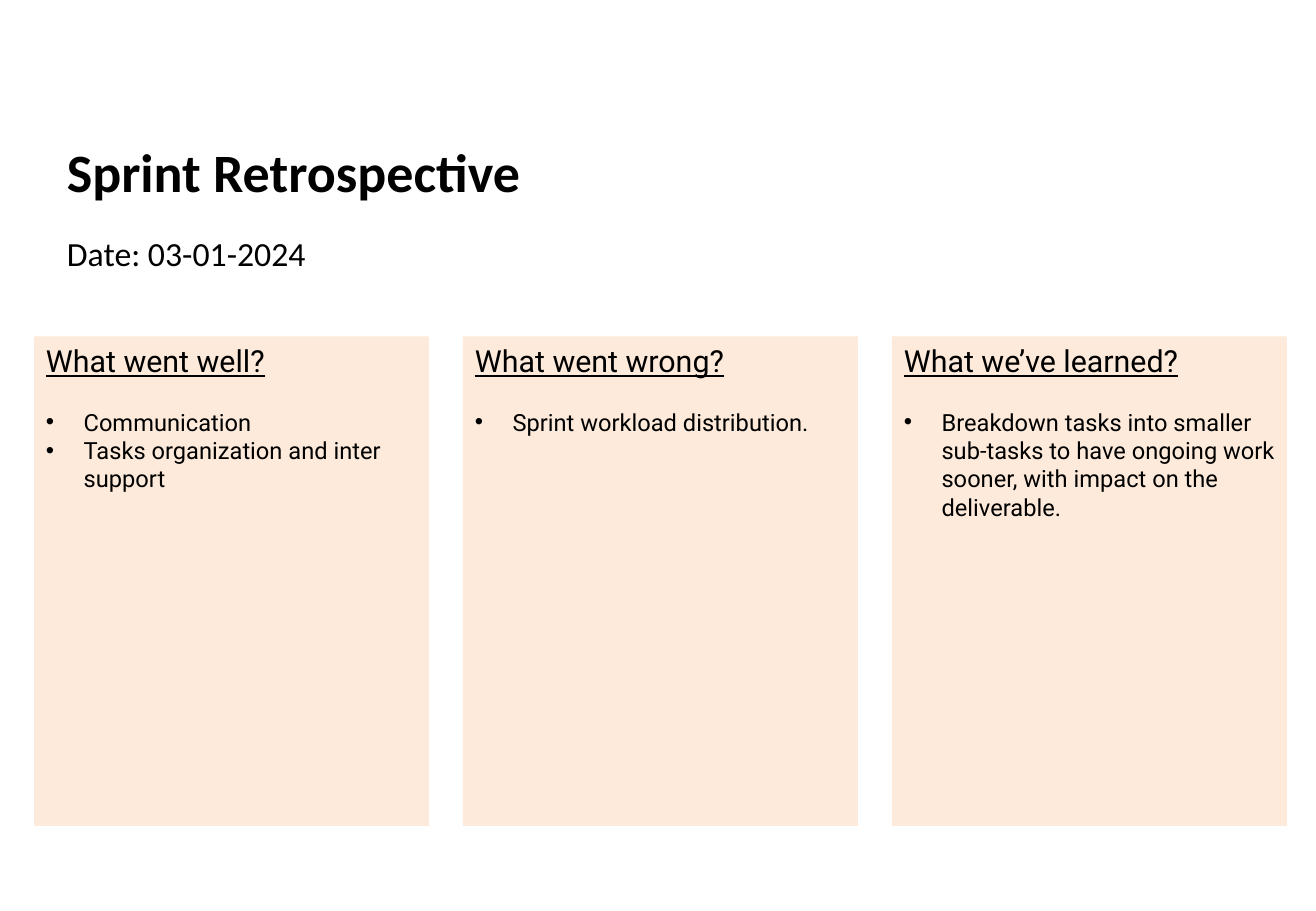
from dataclasses import dataclass

from lxml import etree
from pptx import Presentation
from pptx import util as u
from pptx.dml import color
from pptx.enum import shapes, text
from pptx.oxml import ns

HUES = {"ink": "000000", "card": "FDEADA"}
LEFT, TOP, STEP = 0.28, 2.77, 3.53
WIDE, HIGH = 3.25, 4.03
INDENT = 0.31


@dataclass
class Card:
    head: str
    items: list[str]


CARDS = [
    Card("What went well?", ["Communication", "Tasks organization and inter support"]),
    Card("What went wrong?", ["Sprint workload distribution."]),
    Card("What we’ve learned?", [
        "Breakdown tasks into smaller sub-tasks to have ongoing work sooner, "
        "with impact on the deliverable."]),
]


def rgb(name: str) -> color.RGBColor:
    return color.RGBColor.from_string(HUES[name])


def style(para, size: float, face: str, bold: bool = False, line: bool = False) -> None:
    para.alignment = text.PP_ALIGN.LEFT
    for run in para.runs:
        font = run.font
        font.size, font.name = u.Pt(size), face
        font.bold, font.underline = bold, line
        font.color.rgb = rgb("ink")


def mark(para, sign: str = "") -> None:
    """Set a hanging bullet, or none without a sign."""
    props = para._p.get_or_add_pPr()
    inset = u.Inches(INDENT) if sign else 0
    props.set("marL", str(inset))
    props.set("indent", str(-inset))
    if sign:
        font = etree.SubElement(props, ns.qn("a:buFont"))
        font.set("typeface", "Arial")
        etree.SubElement(props, ns.qn("a:buChar")).set("char", sign)
    else:
        etree.SubElement(props, ns.qn("a:buNone"))


def place(shape, left: float, top: float, wide: float, high: float) -> None:
    shape.left, shape.top = u.Inches(left), u.Inches(top)
    shape.width, shape.height = u.Inches(wide), u.Inches(high)


def draw(slide, card: Card, left: float) -> None:
    box = slide.shapes.add_shape(
        shapes.MSO_SHAPE.RECTANGLE,
        u.Inches(left), u.Inches(TOP), u.Inches(WIDE), u.Inches(HIGH))
    box.shadow.inherit = False
    box.fill.solid()
    box.fill.fore_color.rgb = rgb("card")
    box.line.fill.background()
    frame = box.text_frame
    frame.word_wrap = True
    frame.vertical_anchor = text.MSO_ANCHOR.TOP
    # Heading
    head = frame.paragraphs[0]
    head.text = card.head
    head.space_after = u.Pt(17)
    style(head, 18, "Roboto", line=True)
    # Bullets
    for item in card.items:
        para = frame.add_paragraph()
        para.text = item
        style(para, 14, "Roboto")
        mark(para, "•")


def main() -> None:
    deck = Presentation()
    deck.slide_width, deck.slide_height = u.Inches(10.83), u.Inches(7.5)
    slide = deck.slides.add_slide(deck.slide_layouts[1])

    # Title
    title = slide.shapes.title
    place(title, 0.45, 1.09, 9.89, 0.63)
    title.text_frame.text = "Sprint Retrospective"
    title.text_frame.vertical_anchor = text.MSO_ANCHOR.MIDDLE
    style(title.text_frame.paragraphs[0], 32, "Calibri", bold=True)

    # Date
    body = slide.placeholders[1]
    place(body, 0.45, 1.87, 9.89, 5.02)
    body.text_frame.text = "Date: 03-01-2024"
    date = body.text_frame.paragraphs[0]
    date.space_before, date.space_after = u.Pt(0), u.Pt(4)
    style(date, 20, "Calibri")
    mark(date)

    # Cards
    for spot, card in enumerate(CARDS):
        draw(slide, card, LEFT + spot * STEP)

    deck.save("out.pptx")


if __name__ == "__main__":
    main()
